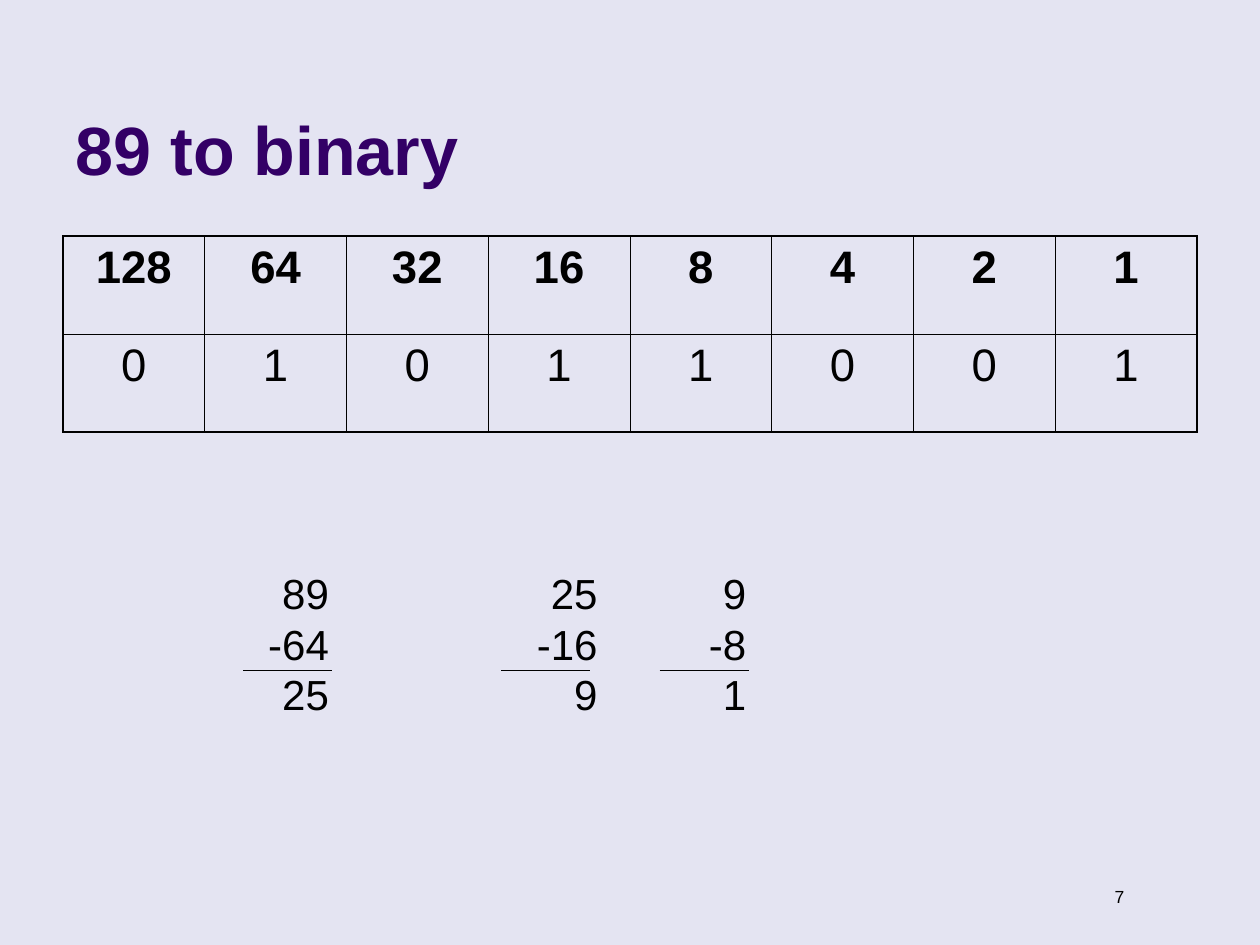
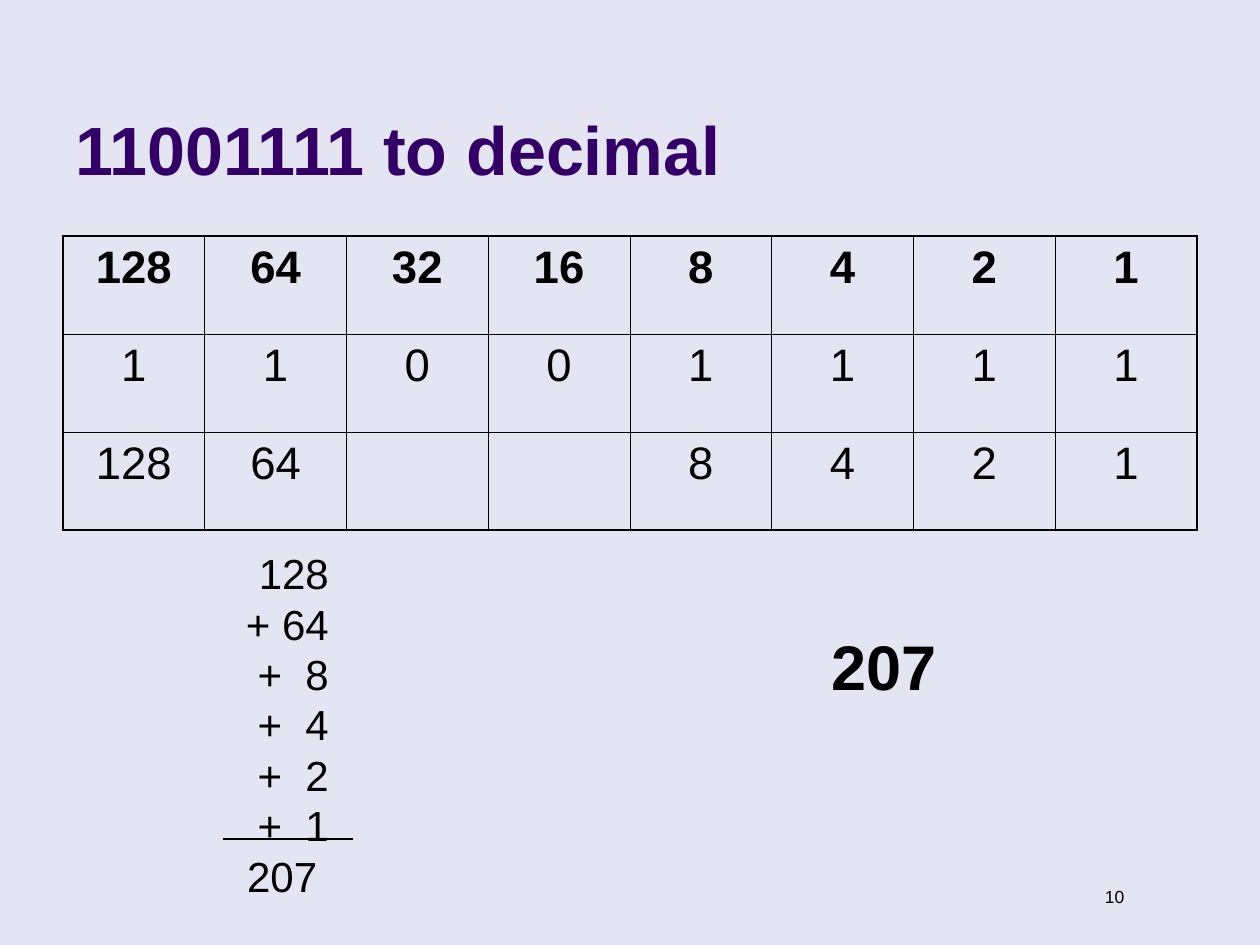
from lxml.etree import SubElement
from pptx import Presentation
from pptx.dml.color import RGBColor
from pptx.enum.shapes import MSO_CONNECTOR as Link
from pptx.enum.text import MSO_ANCHOR as Anchor, MSO_AUTO_SIZE as Fit, PP_ALIGN as Align
from pptx.oxml.ns import qn
from pptx.util import Pt

BLACK = RGBColor(0, 0, 0)
PURPLE = RGBColor(0x33, 0x00, 0x66)
LILAC = RGBColor(0xE4, 0xE4, 0xF2)
FONT = "Arial"

POWERS = [str(2 ** n) for n in range(7, -1, -1)]
SLIDES = [
    {
        "title": "89 to binary",
        "page": "7",
        "rows": [POWERS, list("01011001")],
        "sums": [
            {"lines": ["89", "-64", "25"], "box": (110, 321, 85), "rule": (139, 190, 383)},
            {"lines": ["25", "-16", "9"], "box": (263.5, 321, 85), "rule": (286.5, 337, 383)},
            {"lines": ["9", "-8", "1"], "box": (348.5, 321, 85), "rule": (377, 428, 383)},
        ],
        "answer": "",
    },
    {
        "title": "11001111 to decimal",
        "page": "10",
        "rows": [POWERS, list("11001111"), ["128", "64", "", "", "8", "4", "2", "1"]],
        "sums": [
            {"lines": ["128", "+ 64", "+  8", "+  4", "+  2", "+  1", "207 "],
             "box": (127.5, 309.5, 67.5), "rule": (127.5, 201.5, 479.5)},
        ],
        "answer": "207",
    },
]

TITLE = (36, 9.5, 594, 102)
PAGE = (604, 502.5, 45.5)
ANSWER = (468, 355, 119)
TABLE = (36, 135)
COL, ROW = 81, 56
THICK, THIN = 1.08, 0.45
LEAD = 1.2


def write(para, text, size, bold=False, color=BLACK):
    run = para.add_run()
    run.text = text
    font = run.font
    font.name, font.size, font.bold = FONT, Pt(size), bold
    font.color.rgb = color


def add_text(shapes, box, lines, size, align, bold=False):
    left, top, width = box
    height = len(lines) * size * LEAD + 7.2
    frame = shapes.add_textbox(Pt(left), Pt(top), Pt(width), Pt(height)).text_frame
    frame.word_wrap = True
    para = frame.paragraphs[0]
    para.alignment = align
    para.line_spacing = Pt(size * LEAD)
    for i, line in enumerate(lines):
        if i:
            para.add_line_break()
        write(para, line, size, bold)


def set_title(slide, text):
    title = slide.shapes.title
    title.left, title.top, title.width, title.height = map(Pt, TITLE)
    frame = title.text_frame
    frame.auto_size = Fit.NONE
    frame.vertical_anchor = Anchor.BOTTOM
    para = frame.paragraphs[0]
    para.alignment = Align.LEFT
    write(para, text, 39, True, PURPLE)


def add_edge(cell, side, width):
    props = cell._tc.get_or_add_tcPr()
    edge = SubElement(props, qn(f"a:ln{side}"), w=str(Pt(width)))
    fill = SubElement(edge, qn("a:solidFill"))
    SubElement(fill, qn("a:srgbClr"), val=str(BLACK))


def add_grid(slide, rows):
    high, wide = len(rows), len(rows[0])
    table = slide.shapes.add_table(
        high, wide, *map(Pt, (*TABLE, wide * COL, high * ROW))).table
    table.first_row = table.horz_banding = False
    for r, row in enumerate(rows):
        for c, text in enumerate(row):
            cell = table.cell(r, c)
            outer = {"L": c == 0, "R": c == wide - 1, "T": r == 0, "B": r == high - 1}
            for side, edge in outer.items():
                add_edge(cell, side, THICK if edge else THIN)
            cell.fill.background()
            if text:
                para = cell.text_frame.paragraphs[0]
                para.alignment = Align.CENTER
                write(para, text, 26, r == 0)


def add_sum(slide, item):
    shapes = slide.shapes.add_group_shape().shapes
    add_text(shapes, item["box"], item["lines"], 24, Align.RIGHT)
    start, end, y = map(Pt, item["rule"])
    rule = shapes.add_connector(Link.STRAIGHT, start, y, end, y)
    rule.line.color.rgb = BLACK
    rule.line.width = Pt(0.75)
    SubElement(rule._element.spPr, qn("a:effectLst"))


def main():
    prs = Presentation()
    prs.slide_width, prs.slide_height = Pt(720), Pt(540)
    back = prs.slide_master.background.fill
    back.solid()
    back.fore_color.rgb = LILAC
    for data in SLIDES:
        slide = prs.slides.add_slide(prs.slide_layouts[5])
        add_text(slide.shapes, PAGE, [data["page"]], 10, Align.RIGHT)
        set_title(slide, data["title"])
        add_grid(slide, data["rows"])
        for item in data["sums"]:
            add_sum(slide, item)
        if data["answer"]:
            add_text(slide.shapes, ANSWER, [data["answer"]], 36, Align.LEFT, True)
    prs.save("out.pptx")


if __name__ == "__main__":
    main()
